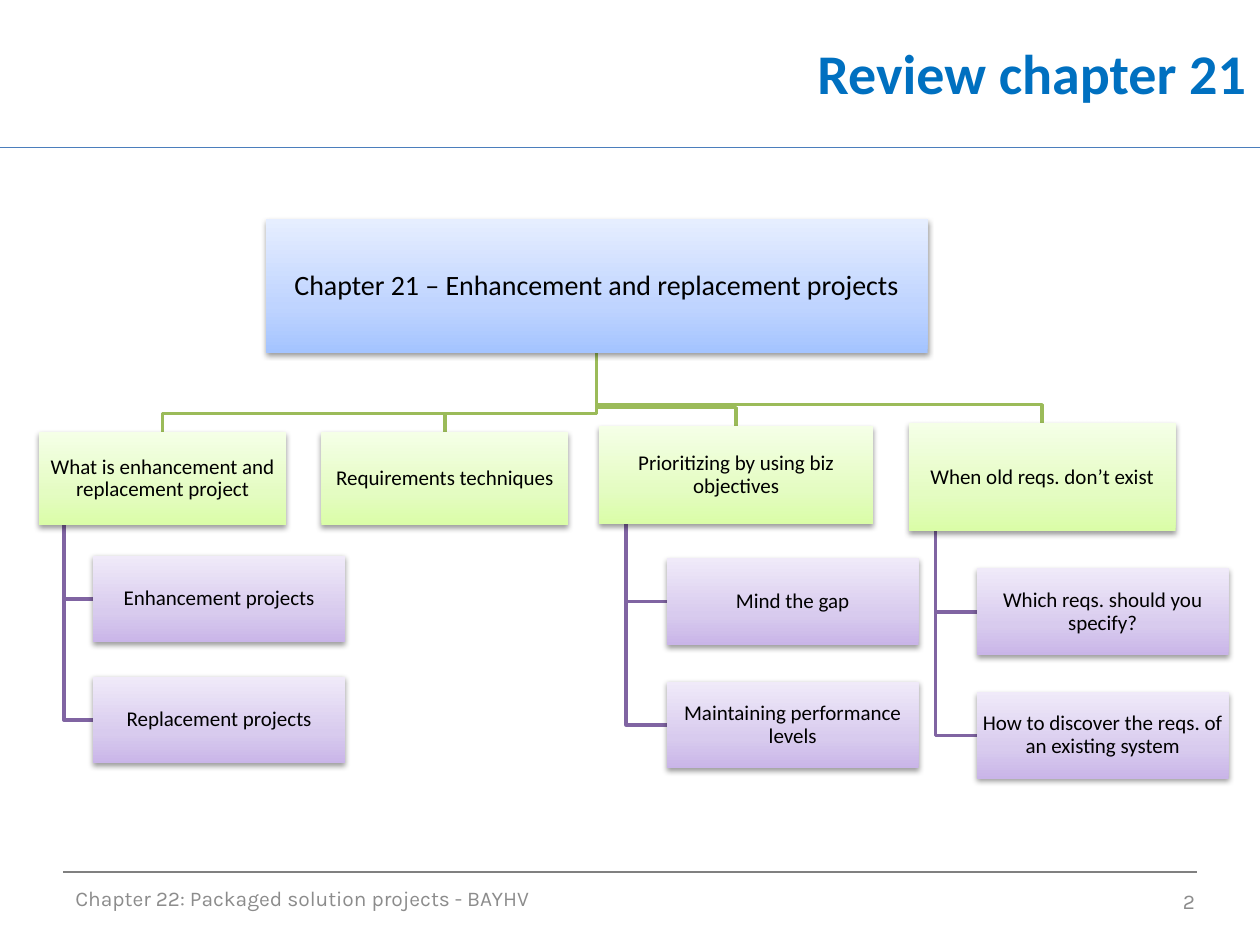
from copy import deepcopy

from lxml import etree
from pptx import Presentation
from pptx.dml.color import RGBColor
from pptx.enum.shapes import MSO_CONNECTOR, MSO_SHAPE
from pptx.enum.text import MSO_ANCHOR, MSO_AUTO_SIZE, PP_ALIGN
from pptx.oxml import parse_xml
from pptx.oxml.ns import nsdecls, qn
from pptx.util import Cm, Pt

LEFT, CENTER, RIGHT = PP_ALIGN.LEFT, PP_ALIGN.CENTER, PP_ALIGN.RIGHT
MIDDLE = MSO_ANCHOR.MIDDLE
RECT = MSO_SHAPE.RECTANGLE
STRAIGHT = MSO_CONNECTOR.STRAIGHT

COLORS = {
    "title": "0070C0", "rule": "4B7EBC", "thin": "808080",
    "foot": "8C8C8C", "text": "000000",
    "green": "9BBB59", "purple": "8064A2",
}
# Gradient colours from bottom to top
BLENDS = {
    "root": ("A4C4FF", "BFD4FF", "E6EEFF"),
    "branch": ("DAFDA7", "E4FCC2", "F5FFE7"),
    "leaf": ("C9B5E8", "D8CBEE", "F0EAF9"),
}
STOPS = (0, 0.35, 1)
SHADOW = (
    f'<a:outerShdw {nsdecls("a")} blurRad="40000" dist="20000" dir="5400000" '
    'rotWithShape="0"><a:srgbClr val="000000"><a:alpha val="38000"/>'
    '</a:srgbClr></a:outerShdw>'
)

# Sizes in cm, relative to the chart box
ROOT = ("Chapter 21 – Enhancement and replacement projects",
        (4.57, 0, 13.34, 2.69))
LEAF_W, LEAF_H = 5.08, 1.75
ELBOW = 0.37   # height of the last drop above a branch
STEM = 0.1     # stem position as a share of branch width
# Each branch: text, box, first leaf (x, y), leaf pitch, leaf texts
TREE = [
    ("What is enhancement and replacement project", (0, 4.29, 4.98, 1.88),
     (1.09, 6.78), 2.44, ["Enhancement projects", "Replacement projects"]),
    ("Requirements techniques", (5.69, 4.29, 4.98, 1.88), (0, 0), 0, []),
    ("Prioritizing by using biz objectives", (11.28, 4.17, 5.54, 1.98),
     (12.65, 6.83), 2.49, ["Mind the gap", "Maintaining performance levels"]),
    ("When old reqs. don’t exist", (17.53, 4.11, 5.38, 2.18),
     (18.9, 7.04), 2.49, ["Which reqs. should you specify?",
                          "How to discover the reqs. of an existing system"]),
]


def color(name):
    return RGBColor.from_string(COLORS[name])


def write(frame, text, size, font, tint, align, bold=False):
    frame.word_wrap = True
    frame.vertical_anchor = MIDDLE
    para = frame.paragraphs[0]
    para.alignment = align
    run = para.add_run()
    run.text = text
    run.font.size = Pt(size)
    run.font.name = font
    run.font.bold = bold
    run.font.color.rgb = color(tint)
    return para


def add_rule(slide, x, y, width, tint):
    rule = slide.shapes.add_connector(
        STRAIGHT, Cm(x), Cm(y), Cm(x + width), Cm(y))
    rule.line.color.rgb = color(tint)
    rule.line.width = Pt(0.75)
    etree.SubElement(rule._element.spPr, qn("a:effectLst"))


def add_path(slide, points, tint):
    start, *rest = [(Cm(x), Cm(y)) for x, y in points]
    pen = slide.shapes.build_freeform(*start)
    pen.add_line_segments(rest, close=False)
    path = pen.convert_to_shape()
    path.fill.background()
    path.line.color.rgb = color(tint)
    path.line.width = Pt(2)
    path.shadow.inherit = False


def add_card(slide, box, text, kind, size):
    card = slide.shapes.add_shape(RECT, *map(Cm, box))
    card.line.fill.background()
    # Three-stop gradient, running upwards
    card.fill.gradient()
    card.fill.gradient_angle = 90
    stops = card._element.spPr.find(".//" + qn("a:gsLst"))
    stops.append(deepcopy(stops[0]))
    for stop, place, tint in zip(card.fill.gradient_stops, STOPS, BLENDS[kind]):
        stop.position = place
        stop.color.rgb = RGBColor.from_string(tint)
    # Soft drop shadow
    card.shadow.inherit = False
    card._element.spPr.find(qn("a:effectLst")).append(parse_xml(SHADOW))
    frame = card.text_frame
    frame.margin_left = frame.margin_right = Cm(0.03)
    frame.margin_top = frame.margin_bottom = Cm(0.03)
    para = write(frame, text, size, "Calibri", "text", CENTER)
    para.line_spacing = 0.9


def add_head(slide, box):
    x, y, width, height = box
    add_rule(slide, x, y + height + 0.05, width, "rule")
    title = slide.shapes.title
    title.left, title.top = Cm(x + 7.37), Cm(y)
    title.width, title.height = Cm(width - 7.39), Cm(height)
    title.text_frame.auto_size = MSO_AUTO_SIZE.NONE
    write(title.text_frame, "Review chapter 21", 32, "Calibri", "title",
          RIGHT, True)


def add_foot(slide, box):
    x, y, width, height = box
    add_rule(slide, x, y, width, "thin")
    parts = [
        (0, 0.02, 16.94, "Chapter 22: Packaged solution projects - BAYHV", LEFT),
        (17.15, 0.08, 5.92, "2", RIGHT),
    ]
    for left, top, wide, text, align in parts:
        label = slide.shapes.add_textbox(
            Cm(x + left), Cm(y + top), Cm(wide), Cm(height))
        write(label.text_frame, text, 12, "Karla", "foot", align)


def add_tree(slide, box):
    left, top = box

    def place(area):
        x, y, *size = area
        return (left + x, top + y, *size)

    name, area = ROOT
    root = place(area)
    mid, base = root[0] + root[2] / 2, root[1] + root[3]
    cards = [(root, name, "root", 16)]

    # Lines go behind the cards
    for name, area, (leaf_x, leaf_y), pitch, leaves in TREE:
        x, y, width, height = branch = place(area)
        cards.append((branch, name, "branch", 12))
        end, bend = x + width / 2, y - ELBOW
        add_path(slide, [(mid, base), (mid, bend), (end, bend), (end, y)],
                 "green")
        stem = x + width * STEM
        for row, text in enumerate(leaves):
            leaf = place((leaf_x, leaf_y + row * pitch, LEAF_W, LEAF_H))
            cards.append((leaf, text, "leaf", 12))
            level = leaf[1] + LEAF_H / 2
            add_path(slide, [(stem, y + height), (stem, level),
                             (leaf[0], level)], "purple")

    for card in cards:
        add_card(slide, *card)


def main():
    deck = Presentation()
    deck.slide_width, deck.slide_height = Cm(25.4), Cm(19.05)
    slide = deck.slides.add_slide(deck.slide_layouts[5])
    add_head(slide, (0, 0, 25.4, 2.92))
    add_foot(slide, (1.27, 17.58, 22.86, 1.02))
    add_tree(slide, (0.79, 4.42))
    deck.save("out.pptx")


if __name__ == "__main__":
    main()
